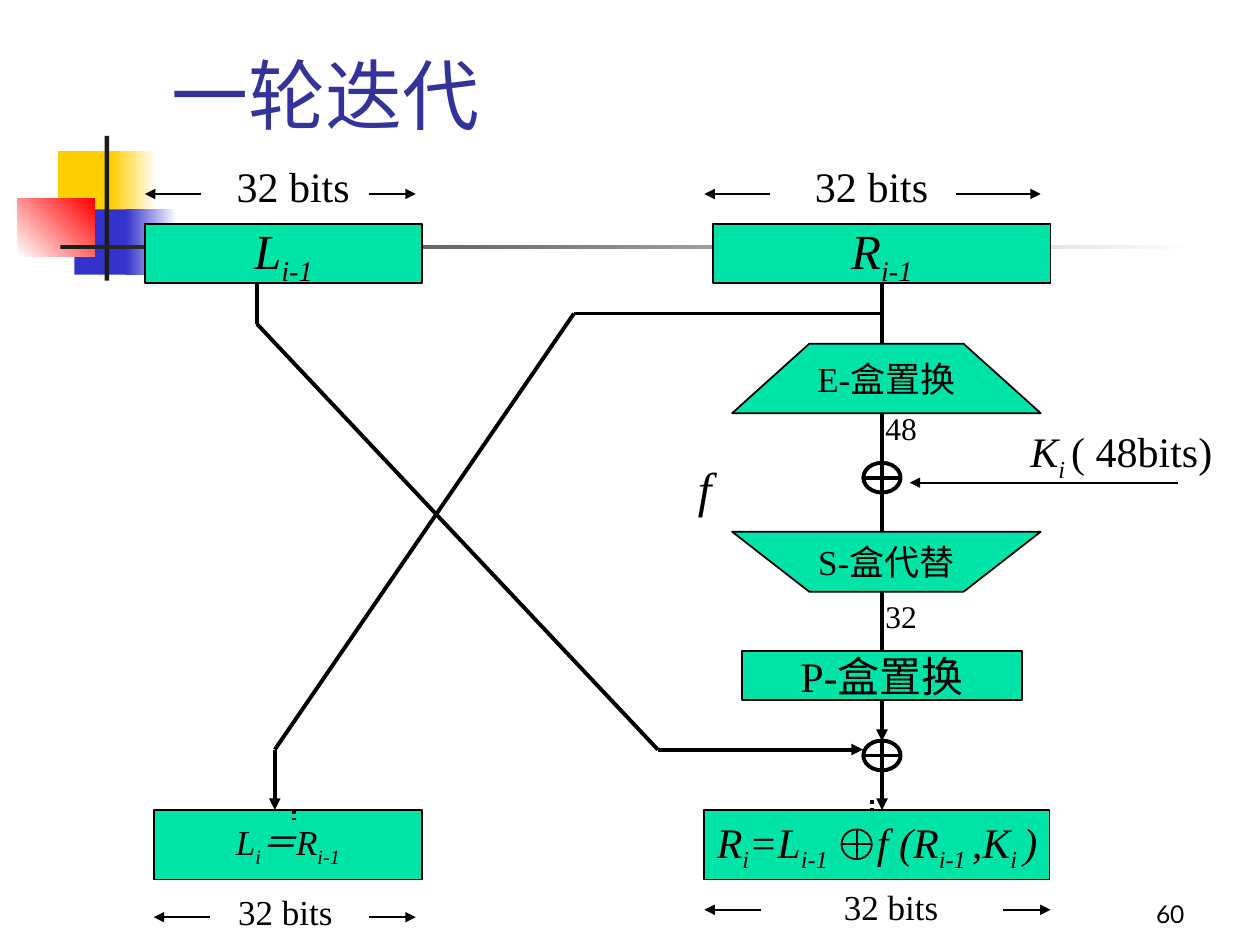
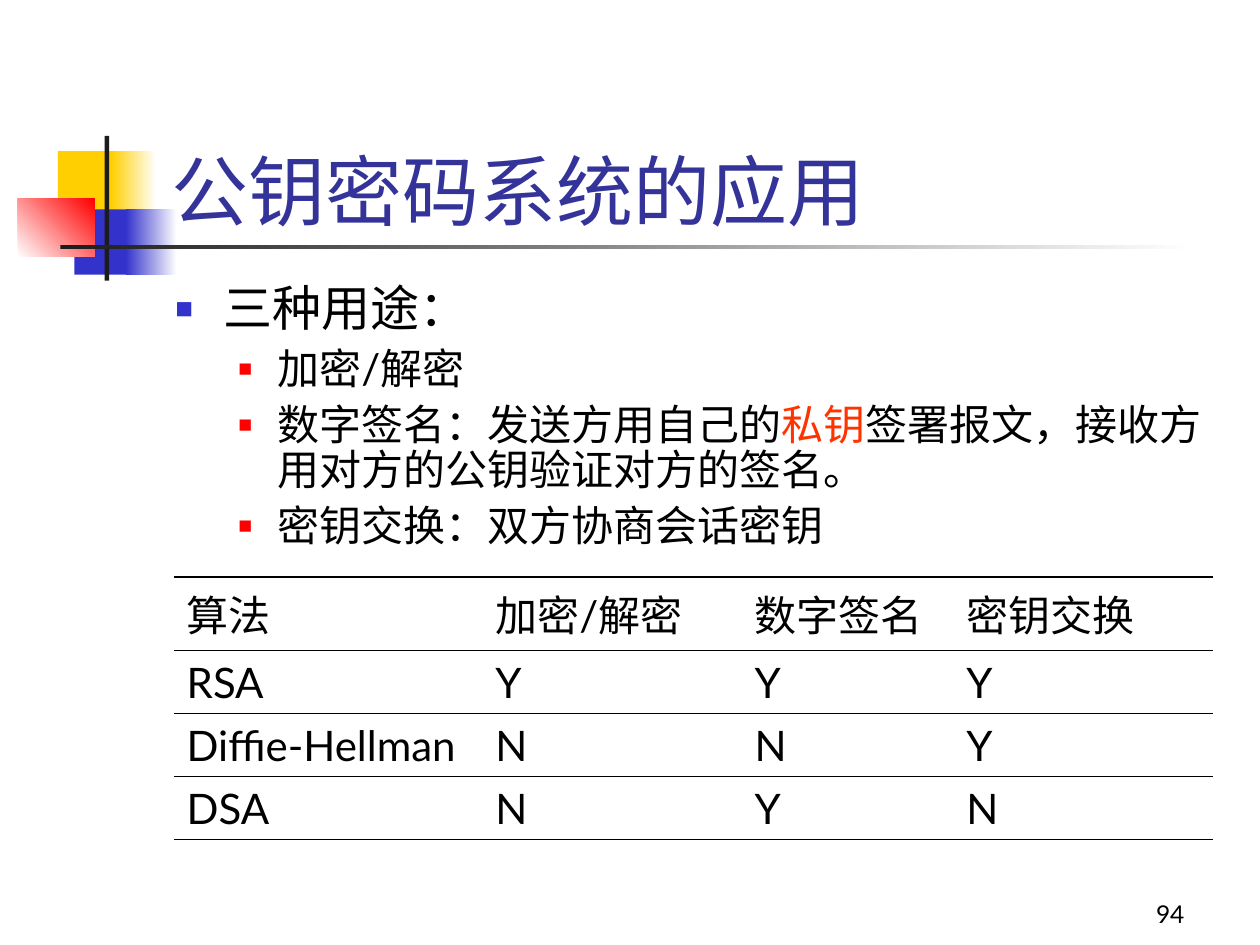
from dataclasses import dataclass
from typing import Optional

from lxml.etree import SubElement
from pptx import Presentation
from pptx.dml.color import RGBColor
from pptx.enum.dml import MSO_LINE
from pptx.enum.shapes import MSO_CONNECTOR, MSO_SHAPE
from pptx.enum.text import MSO_ANCHOR, MSO_AUTO_SIZE, PP_ALIGN
from pptx.oxml.ns import qn
from pptx.util import Cm, Pt

HUES = {
    "title": "333399", "text": "000000", "paper": "FFFFFF", "gold": "FFCF01",
    "blue": "3333CC", "red": "FF0000", "dark": "1C1C1C", "mint": "00E4A8",
    "key": "FF3300",
}
SANS, SERIF = "Lato", "Times New Roman"
AXIS = 17.78  # centre line of the right-hand branch
THIN, THICK = 1, 2.25


# Records: all lengths in centimetres
@dataclass
class Mark:
    area: tuple
    hue: str
    fade: Optional[str] = None
    angle: int = 0


@dataclass
class Box:
    area: tuple
    words: tuple  # plain and subscript text by turns
    size: int
    slant: bool = False
    tab: float = 0


@dataclass
class Wire:
    start: tuple
    end: tuple
    width: float = THICK
    arrow: bool = False
    dots: bool = False


@dataclass
class Bullet:
    mark: str
    share: int
    left: float
    hang: float
    size: int


MARKS = [
    Mark((1.17, 3.05, 1.22, 1.32), "gold"),
    Mark((2.24, 3.05, 0.91, 1.32), "gold", "paper"),
    Mark((1.5, 4.22, 1.17, 1.32), "blue"),
    Mark((2.54, 4.22, 1.02, 1.32), "blue", "paper"),
    Mark((0.36, 4.01, 1.55, 1.17), "paper", "red", 45),
    Mark((2.11, 2.74, 0.09, 2.92), "dark"),
    Mark((1.22, 4.94, 22.86, 0.09), "dark", "paper"),
]
LEFT_IN = Box((2.92, 4.52, 5.59, 1.19), ("L", "i-1"), 28, True)
RIGHT_IN = Box((14.38, 4.52, 6.8, 1.19), ("R", "i-1"), 28, True)
LEFT_OUT = Box((3.1, 16.33, 5.41, 1.4), ("L", "i", "＝R", "i-1"), 20, True)
RIGHT_OUT = Box((14.2, 16.33, 6.96, 1.4),
                ("R", "i", "=L", "i-1", "\tf (R", "i-1 ", ",K", "i ", ")"),
                24, True, 3.23)
P_BOX = Box((14.96, 13.13, 5.64, 0.99), ("P-盒置换",), 24)
E_BOX = Box((14.76, 6.93, 6.22, 1.4), ("E-盒置换",), 20)
S_BOX = Box((14.76, 10.72, 6.22, 1.21), ("S-盒代替",), 20)
KEY = Box((20.52, 8.46, 4.95, 1.42), ("K", "i ", "( 48bits)"), 24, True)
LABELS = [
    Box((4.52, 3.12, 3.2, 1.27), ("32 bits",), 24),
    Box((16.18, 3.12, 3.2, 1.27), ("32 bits",), 24),
    Box((4.55, 17.83, 2.8, 1.12), ("32 bits",), 20),
    Box((16.76, 17.73, 2.8, 1.12), ("32 bits",), 20),
    Box((13.82, 9.12, 0.94, 1.45), ("f",), 28, True),
    Box((17.6, 8.13, 1.32, 1.02), ("48",), 18),
    Box((17.6, 11.91, 1.32, 1.02), ("32",), 18),
]
WIRES = [
    # Left half crosses to the right
    Wire((5.18, 5.71), (5.18, 6.53)),
    Wire((5.18, 6.53), (13.26, 15.11)),
    Wire((13.26, 15.11), (17.4, 15.11), arrow=True),
    # Right half crosses to the left
    Wire((AXIS, 6.32), (11.57, 6.32)),
    Wire((11.57, 6.32), (5.54, 15.11)),
    Wire((5.54, 15.11), (5.54, 16.33), arrow=True),
    # Right-hand branch and key
    Wire((AXIS, 8.33), (AXIS, 9.33)),
    Wire((AXIS, 9.93), (AXIS, 10.72)),
    Wire((AXIS, 15.53), (AXIS, 16.33), arrow=True),
    Wire((23.75, 9.73), (18.34, 9.73), THIN, True),
    # Dotted stubs
    Wire((5.92, 16.33), (5.92, 16.54), dots=True),
    Wire((17.58, 16.13), (17.58, 16.33), dots=True),
]
# Width marks: height, then from and to of the left and right arrows
SPANS = [
    (3.91, 4.06, 2.92, 7.44, 8.38),
    (3.91, 15.52, 14.2, 19.28, 20.98),
    (18.49, 4.24, 3.1, 7.44, 8.38),
    (18.34, 15.34, 14.2, 20.22, 21.18),
]
XORS = [((AXIS, 9.63), 0.75, THICK), ((AXIS, 15.23), 0.75, THICK),
        ((17.27, 17.02), 0.61, THIN)]

TOP = Bullet("blue", 60, 0.97, 0.97, 28)
SUB = Bullet("red", 55, 2.06, 0.79, 24)
ITEMS = [
    (TOP, ["三种用途："]),
    (SUB, ["加密/解密"]),
    (SUB, ["数字签名：发送方用自己的", "私钥",
           "签署报文，接收方用对方的公钥验证对方的签名。"]),
    (SUB, ["密钥交换：双方协商会话密钥"]),
]
COLS = [6.22, 5.23, 4.27, 5.23]
ROWS = [
    ("算法", "加密/解密", "数字签名", "密钥交换"),
    ("RSA", "Y", "Y", "Y"),
    ("Diffie-Hellman", "N", "N", "Y"),
    ("DSA", "N", "Y", "N"),
]


def tint(name: str) -> RGBColor:
    return RGBColor.from_string(HUES[name])


def place(area: tuple) -> list:
    return [Cm(n) for n in area]


def style(para, size: float, face: str = SANS, hue: str = "text") -> None:
    para.font.name, para.font.size = face, Pt(size)
    para.font.color.rgb = tint(hue)


def paint(shape, hue: Optional[str], width: float = 0) -> None:
    shape.shadow.inherit = False
    if hue:
        shape.fill.solid()
        shape.fill.fore_color.rgb = tint(hue)
    else:
        shape.fill.background()
    if width:
        shape.line.width = Pt(width)
        shape.line.color.rgb = tint("text")
    else:
        shape.line.fill.background()


# Shared frame: corner marks, title and page number
def frame(slide, title: str, area: tuple, page: str) -> None:
    for mark in MARKS:
        shape = slide.shapes.add_shape(MSO_SHAPE.RECTANGLE, *place(mark.area))
        paint(shape, mark.hue)
        if mark.fade:
            shape.fill.gradient()
            shape.fill.gradient_angle = mark.angle
            for stop, hue, spot in zip(shape.fill.gradient_stops,
                                       (mark.hue, mark.fade), (0, 1)):
                stop.color.rgb, stop.position = tint(hue), spot
    head = slide.shapes.title
    head.left, head.top, head.width, head.height = place(area)
    foot = slide.shapes.add_textbox(*place((18.85, 17.58, 5.28, 1.27)))
    for shape, text, size, hue, align in (
            (head, title, 44, "title", PP_ALIGN.LEFT),
            (foot, page, 14, "text", PP_ALIGN.RIGHT)):
        body = shape.text_frame
        body.word_wrap, body.auto_size = True, MSO_AUTO_SIZE.NONE
        body.vertical_anchor = MSO_ANCHOR.BOTTOM
        body.text = text
        body.paragraphs[0].alignment = align
        style(body.paragraphs[0], size, hue=hue)


# Diagram pieces
def write(shape, box: Box, align=PP_ALIGN.LEFT) -> None:
    para = shape.text_frame.paragraphs[0]
    para.alignment = align
    if box.tab:
        tabs = SubElement(para._p.get_or_add_pPr(), qn("a:tabLst"))
        SubElement(tabs, qn("a:tab"), pos=str(Cm(box.tab)), algn="l")
    style(para, box.size, SERIF)
    if box.slant and box is not KEY:
        para.font.italic = True
    for i, word in enumerate(box.words):
        run = para.add_run()
        run.text = word
        if box is KEY:
            run.font.italic = i < 2
        if i % 2:
            run._r.get_or_add_rPr().set("baseline", "-25000")


def fill_in(shape, box: Box):
    paint(shape, "mint", THIN)
    body = shape.text_frame
    body.vertical_anchor = MSO_ANCHOR.MIDDLE
    body.word_wrap = bool(box.tab)
    if box.tab:
        body.margin_right = 0
    write(shape, box, PP_ALIGN.LEFT if box.tab else PP_ALIGN.CENTER)
    return shape


def block(slide, box: Box):
    shape = slide.shapes.add_shape(MSO_SHAPE.RECTANGLE, *place(box.area))
    return fill_in(shape, box)


def funnel(slide, box: Box, wide_top: bool) -> None:
    x, y, w, h = box.area
    wide, slim = (y, y + h) if wide_top else (y + h, y)
    pen = slide.shapes.build_freeform(Cm(x), Cm(wide))
    pen.add_line_segments([
        (Cm(x + w / 4), Cm(slim)), (Cm(x + w * 3 / 4), Cm(slim)),
        (Cm(x + w), Cm(wide))], close=True)
    fill_in(pen.convert_to_shape(), box)


def label(slide, box: Box) -> None:
    shape = slide.shapes.add_textbox(*place(box.area))
    shape.text_frame.word_wrap = True
    write(shape, box)


def draw(slide, wire: Wire):
    line = slide.shapes.add_connector(
        MSO_CONNECTOR.STRAIGHT, *place(wire.start + wire.end))
    line.line.width = Pt(wire.width)
    line.line.color.rgb = tint("text")
    if wire.dots:
        line.line.dash_style = MSO_LINE.ROUND_DOT
    if wire.arrow:
        SubElement(line.line._get_or_add_ln(), qn("a:tailEnd"), type="triangle")
    SubElement(line._element.spPr, qn("a:effectLst"))
    return line


def xor(slide, spot: tuple, wide: float, width: float) -> None:
    (x, y), rx, ry = spot, wide / 2, 0.3
    ring = slide.shapes.add_shape(
        MSO_SHAPE.OVAL, *place((x - rx, y - ry, 2 * rx, 2 * ry)))
    paint(ring, None, width)
    draw(slide, Wire((x - rx, y), (x + rx, y), width))
    draw(slide, Wire((x, y - ry), (x, y + ry), width))


def round_slide(deck) -> None:
    slide = deck.slides.add_slide(deck.slide_layouts[5])
    frame(slide, "一轮迭代", (3.2, 0.84, 21.64, 2.11), "60")
    for box in (LEFT_IN, LEFT_OUT, RIGHT_OUT):
        block(slide, box)
    source, mixer = block(slide, RIGHT_IN), block(slide, P_BOX)
    funnel(slide, E_BOX, False)
    funnel(slide, S_BOX, True)
    for wire in WIRES:
        draw(slide, wire)
    # Wires joined to the middle of a box side
    draw(slide, Wire((AXIS, 5.71), (AXIS, 6.93))).begin_connect(source, 2)
    draw(slide, Wire((AXIS, 11.93), (AXIS, 13.13))).end_connect(mixer, 0)
    draw(slide, Wire((AXIS, 14.12), (AXIS, 14.94), arrow=True)).begin_connect(mixer, 2)
    for y, *ends in SPANS:
        for start, end in (ends[:2], ends[2:]):
            draw(slide, Wire((start, y), (end, y), THIN, True))
    for item in XORS:
        xor(slide, *item)
    for box in LABELS + [KEY]:
        label(slide, box)


# List and table
def listing(shape) -> None:
    shape.left, shape.top, shape.width, shape.height = place((3.28, 5.61, 21.59, 6.1))
    body = shape.text_frame
    body.word_wrap, body.auto_size = True, MSO_AUTO_SIZE.NONE
    for i, (kind, words) in enumerate(ITEMS):
        para = body.add_paragraph() if i else body.paragraphs[0]
        para.level = int(kind is SUB)
        para.line_spacing = 0.9
        para.space_before = Pt(6 if i else 0)
        props = para._p.get_or_add_pPr()
        props.set("marL", str(Cm(kind.left)))
        props.set("indent", str(-Cm(kind.hang)))
        SubElement(SubElement(props, qn("a:buClr")), qn("a:srgbClr"), val=HUES[kind.mark])
        SubElement(props, qn("a:buSzPct"), val=str(kind.share * 1000))
        SubElement(props, qn("a:buChar"), char="■")
        style(para, kind.size)
        for j, word in enumerate(words):
            run = para.add_run()
            run.text = word
            if j == 1:
                run.font.color.rgb = tint("key")


def rule(cell, side: str, width: float) -> None:
    line = SubElement(cell._tc.get_or_add_tcPr(), qn(f"a:ln{side}"), w=str(Pt(width)))
    if width:
        fill = SubElement(line, qn("a:solidFill"))
        SubElement(fill, qn("a:srgbClr"), val=HUES["text"])
    else:
        SubElement(line, qn("a:noFill"))


def use_slide(deck) -> None:
    slide = deck.slides.add_slide(deck.slide_layouts[1])
    frame(slide, "公钥密码系统的应用", (3.2, 1.7, 21.64, 3.18), "94")
    listing(slide.placeholders[1])
    area = (3.51, 11.63, sum(COLS), 1.27 * len(ROWS))
    grid = slide.shapes.add_table(len(ROWS), len(COLS), *place(area)).table
    grid.first_row = grid.horz_banding = False
    for col, width in zip(grid.columns, COLS):
        col.width = Cm(width)
    for r, row in enumerate(ROWS):
        for c, text in enumerate(row):
            cell = grid.cell(r, c)
            cell.text = text
            style(cell.text_frame.paragraphs[0], 24)
            top = 0.45 if r else 1.08
            base = 1.08 if r == len(ROWS) - 1 else 0.45
            for side, width in zip("LRTB", (0, 0, top, base)):
                rule(cell, side, width)
            cell.fill.background()


def main() -> None:
    deck = Presentation()
    deck.slide_width, deck.slide_height = Cm(25.4), Cm(19.05)
    round_slide(deck)
    use_slide(deck)
    deck.save("out.pptx")


if __name__ == "__main__":
    main()
